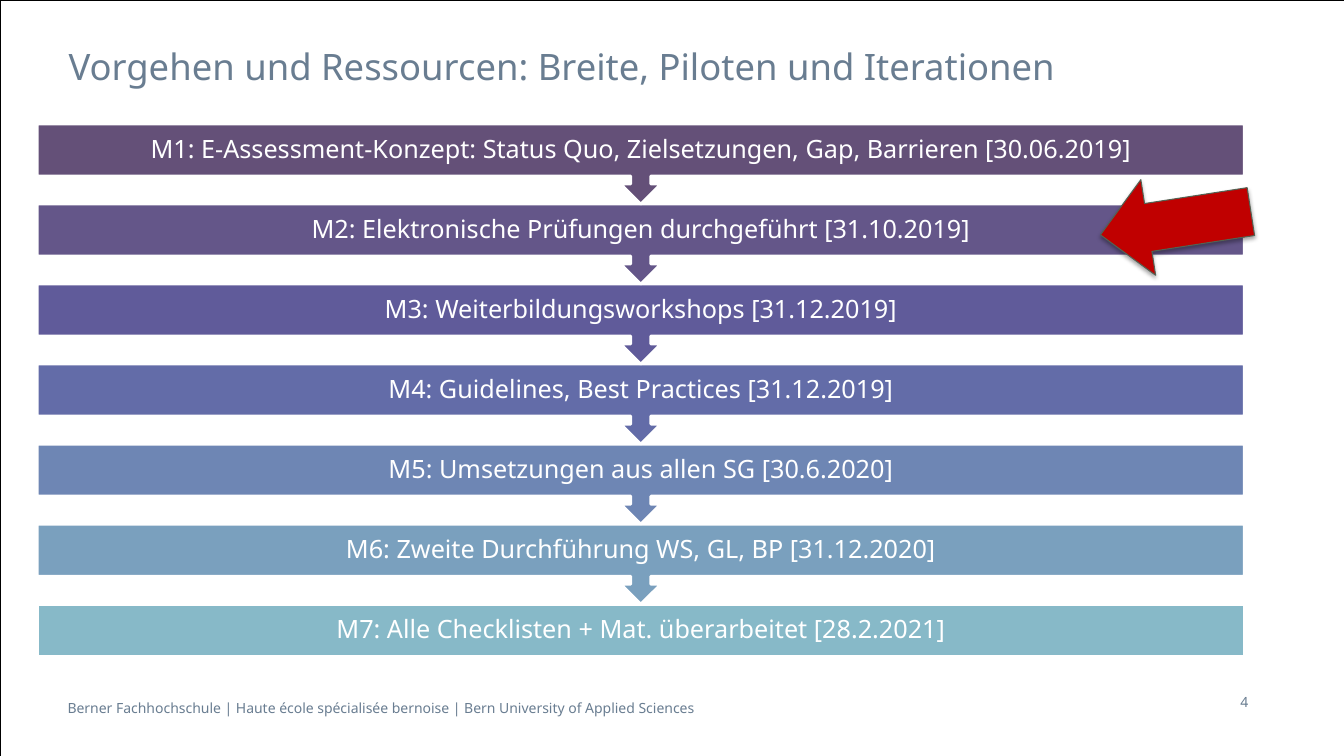
from dataclasses import dataclass
from lxml import etree
from pptx import Presentation
from pptx.dml.color import RGBColor
from pptx.enum.shapes import MSO_SHAPE
from pptx.enum.text import MSO_ANCHOR, PP_ALIGN
from pptx.oxml.ns import qn
from pptx.util import Inches, Pt

RECTANGLE = MSO_SHAPE.RECTANGLE
CALLOUT = MSO_SHAPE.UP_ARROW_CALLOUT
DOWN_ARROW = MSO_SHAPE.DOWN_ARROW
TOP, MIDDLE = MSO_ANCHOR.TOP, MSO_ANCHOR.MIDDLE
LEFT, CENTER, RIGHT = PP_ALIGN.LEFT, PP_ALIGN.CENTER, PP_ALIGN.RIGHT


@dataclass(frozen=True)
class Theme:
    font: str = "Noto Sans"
    slate: str = "697D91"
    white: str = "FFFFFF"
    black: str = "000000"
    marker: str = "C00000"
    marker_line: str = "536253"
    title_size: float = 26
    step_size: float = 18
    small_size: float = 10


@dataclass(frozen=True)
class Box:
    left: float
    top: float
    width: float
    height: float

    def inches(self):
        return [Inches(n) for n in (self.left, self.top, self.width, self.height)]

    def row(self, index, step, height):
        return Box(self.left, self.top + index * step, self.width, height)


THEME = Theme()
PAGE = Box(0, 0, 13.33, 7.5)
BAR_SHARE = 0.65
MILESTONES = [
    ("M1: E-Assessment-Konzept: Status Quo, Zielsetzungen, Gap, Barrieren [30.06.2019]", "645078"),
    ("M2: Elektronische Prüfungen durchgeführt [31.10.2019]", "645689"),
    ("M3: Weiterbildungsworkshops [31.12.2019]", "605B9A"),
    ("M4: Guidelines, Best Practices [31.12.2019]", "636CA8"),
    ("M5: Umsetzungen aus allen SG [30.6.2020]", "6E86B4"),
    ("M6: Zweite Durchführung WS, GL, BP [31.12.2020]", "7AA0BE"),
    ("M7: Alle Checklisten + Mat. überarbeitet [28.2.2021]", "87B9C8"),
]


def set_all(target, values):
    for name, value in values.items():
        setattr(target, name, value)


def add_text(page, box, text, size, color, align=LEFT, anchor=TOP, inset=(0, 0.05), spacing=1.0):
    frame = page.shapes.add_textbox(*box.inches()).text_frame
    side, edge = (Inches(n) for n in inset)
    set_all(frame, {
        "word_wrap": True, "vertical_anchor": anchor,
        "margin_left": side, "margin_right": side,
        "margin_top": edge, "margin_bottom": edge,
    })
    para = frame.paragraphs[0]
    set_all(para, {"alignment": align, "line_spacing": spacing})
    span = para.add_run()
    span.text = text
    set_all(span.font, {"name": THEME.font, "size": Pt(size)})
    span.font.color.rgb = RGBColor.from_string(color)


def add_figure(page, kind, box, fill, line, width, rotation=0):
    shape = page.shapes.add_shape(kind, *box.inches())
    set_all(shape, {"rotation": rotation})
    shape.shadow.inherit = False
    if fill:
        shape.fill.solid()
        shape.fill.fore_color.rgb = RGBColor.from_string(fill)
    else:
        shape.fill.background()
    shape.line.color.rgb = RGBColor.from_string(line)
    shape.line.width = Pt(width)
    return shape


def add_frame(page, box):
    add_figure(page, RECTANGLE, box, None, THEME.black, 0.5)


def add_milestones(page, box):
    step = box.height / (len(MILESTONES) - 1 + BAR_SHARE)
    bar = step * BAR_SHARE
    last = len(MILESTONES) - 1
    for index, (text, color) in reversed(list(enumerate(MILESTONES))):
        kind, height, turn = (RECTANGLE, bar, 0) if index == last else (CALLOUT, step, 180)
        add_figure(page, kind, box.row(index, step, height), color, THEME.white, 2, turn)
        add_text(page, box.row(index, step, bar), text, THEME.step_size, THEME.white,
                 CENTER, MIDDLE, (0.14, 0.14), 0.9)


def add_marker(page, box):
    arrow = add_figure(page, DOWN_ARROW, box, THEME.marker, THEME.marker_line, 0.75, 81.2)
    effects = arrow.fill._xPr.find(qn("a:effectLst"))
    shadow = etree.SubElement(effects, qn("a:outerShdw"), {
        "blurRad": str(Pt(3.1)), "dist": str(Pt(1.8)), "dir": "5400000", "rotWithShape": "0",
    })
    color = etree.SubElement(shadow, qn("a:srgbClr"), val=THEME.black)
    etree.SubElement(color, qn("a:alpha"), val="35000")


def add_footer(page, box):
    add_text(page, Box(box.left, box.top + 0.06, 9.75, 0.27),
             "Berner Fachhochschule | Haute école spécialisée bernoise | Bern University of Applied Sciences",
             THEME.small_size, THEME.slate)
    number_width = 2.62
    add_text(page, Box(box.left + box.width - number_width, box.top, number_width, box.height),
             "4", THEME.small_size, THEME.slate, RIGHT, inset=(0.1, 0.05))


def main():
    deck = Presentation()
    set_all(deck, {"slide_width": Inches(PAGE.width), "slide_height": Inches(PAGE.height)})
    page = deck.slides.add_slide(deck.slide_layouts[6])
    add_frame(page, PAGE)
    add_text(page, Box(0.68, 0.39, 11.81, 0.59),
             "Vorgehen und Ressourcen: Breite, Piloten und Iterationen",
             THEME.title_size, THEME.slate)
    add_milestones(page, Box(0.37, 1.23, 11.97, 5.28))
    add_footer(page, Box(0.67, 6.83, 11.81, 0.4))
    add_marker(page, Box(11.18, 1.46, 0.96, 1.51))
    deck.save("out.pptx")


if __name__ == "__main__":
    main()
